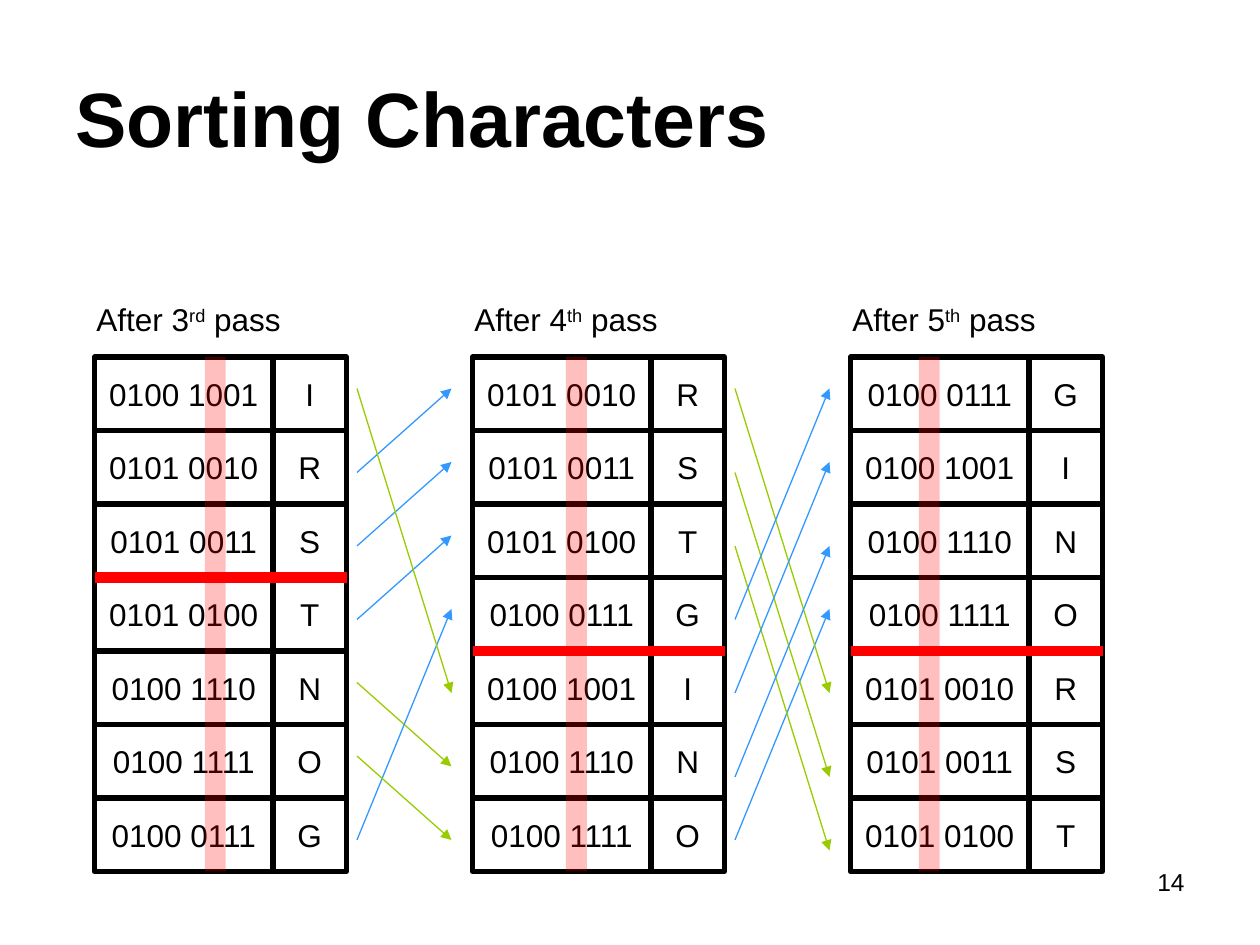
import dataclasses
import typing

import pptx
import pptx.dml.color
import pptx.enum.shapes
import pptx.enum.text
import pptx.oxml.ns
import pptx.util
from lxml import etree

RGB = pptx.dml.color.RGBColor
ALIGN = pptx.enum.text.PP_ALIGN
ANCHOR = pptx.enum.text.MSO_ANCHOR
RECT = pptx.enum.shapes.MSO_SHAPE.RECTANGLE
LINE = pptx.enum.shapes.MSO_CONNECTOR.STRAIGHT

BLACK = RGB(0, 0, 0)
WHITE = RGB(255, 255, 255)
RED = RGB(255, 0, 0)
BLUE = RGB(0x33, 0x99, 0xFF)
GREEN = RGB(0x99, 0xCC, 0)

COLS, ROWS = 120, 90
TOP, STEP = 34, 7
CODE, WIDE = 17, 24


@dataclasses.dataclass(frozen=True)
class Stage:
    left: float
    label: str
    order: str
    band: float
    split: int
    moves: tuple[tuple[int, int], ...] = ()


STAGES = (
    Stage(9, "After 3^rd^ pass", "IRSTNOG", 10.5, 3,
          ((45, 37), (65, 73), (80, 58), (52, 44), (59, 51), (72, 80), (37, 66))),
    Stage(45, "After 4^th^ pass", "RSTGINO", 8.9, 4,
          ((80, 58), (37, 66), (45, 74), (52, 81), (59, 37), (66, 44), (74, 52))),
    Stage(81, "After 5^th^ pass", "GINORST", 6.5, 4),
)

deck = pptx.Presentation()
deck.slide_width = pptx.util.Inches(10)
deck.slide_height = pptx.util.Inches(7.5)
page = deck.slides.add_slide(deck.slide_layouts[6])


def grid(*spots: float) -> list[int]:
    sides = (deck.slide_width / COLS, deck.slide_height / ROWS)
    return [round(spot * sides[i % 2]) for i, spot in enumerate(spots)]


def add(node: typing.Any, tag: str, **attrs: str) -> None:
    etree.SubElement(node, pptx.oxml.ns.qn(tag), **attrs)


def write(shape: typing.Any, text: str, *, size: float = 18, bold: bool = False,
          align: typing.Any = ALIGN.LEFT, anchor: typing.Any = ANCHOR.TOP,
          wrap: bool = True) -> None:
    frame = shape.text_frame
    frame.word_wrap = wrap
    frame.vertical_anchor = anchor
    para = frame.paragraphs[0]
    para.alignment = align
    for i, part in enumerate(text.split("^")):
        run = para.add_run()
        run.text = part
        run.font.name = "Arial"
        run.font.size = pptx.util.Pt(size)
        run.font.bold = bold
        run.font.color.rgb = BLACK
        if i % 2:
            run.font._element.set("baseline", "30000")


def block(spot: tuple[float, ...], fill: RGB) -> typing.Any:
    shape = page.shapes.add_shape(RECT, *grid(*spot))
    shape.shadow.inherit = False
    shape.fill.solid()
    shape.fill.fore_color.rgb = fill
    shape.line.fill.background()
    return shape


def cell(left: float, top: float, width: float, text: str) -> None:
    shape = block((left, top, width, STEP), WHITE)
    shape.line.color.rgb = BLACK
    shape.line.width = pptx.util.Pt(3)
    write(shape, text, align=ALIGN.CENTER, anchor=ANCHOR.MIDDLE, wrap=False)


def stroke(ends: tuple[float, ...], tint: RGB, width: float, head: bool = False) -> None:
    line = page.shapes.add_connector(LINE, *grid(*ends))
    line.line.color.rgb = tint
    line.line.width = pptx.util.Pt(width)
    if head:
        add(line.line._get_or_add_ln(), "a:tailEnd", type="triangle")
    add(line._element.spPr, "a:effectLst")


def draw(stage: Stage) -> None:
    for i, char in enumerate(stage.order):
        bits = f"{ord(char):08b}"
        top = TOP + i * STEP
        cell(stage.left + CODE, top, WIDE - CODE, char)
        cell(stage.left, top, CODE, f"{bits[:4]} {bits[4:]}")
    label = page.shapes.add_textbox(*grid(stage.left - 1, 28, 26, 4.8))
    write(label, stage.label)
    tall = len(stage.order) * STEP
    band = block((stage.left + stage.band, TOP, 2, tall), RED)
    tint = band.fill._xPr.find(".//" + pptx.oxml.ns.qn("a:srgbClr"))
    add(tint, "a:alpha", val="25000")
    right = stage.left + WIDE
    cut = TOP + stage.split * STEP
    stroke((stage.left, cut, right, cut), RED, 6)
    for start, end in stage.moves:
        tint = BLUE if end < start else GREEN
        stroke((right + 1, start, right + 10, end), tint, 0.75, head=True)


def main() -> None:
    number = page.shapes.add_textbox(*grid(86, 82, 28, 6.2))
    write(number, "14", size=14, align=ALIGN.RIGHT)
    title = page.shapes.add_textbox(*grid(6, 3.6, 108, 15))
    write(title, "Sorting Characters", size=44, bold=True, anchor=ANCHOR.MIDDLE)
    for stage in STAGES:
        draw(stage)
    deck.save("out.pptx")


if __name__ == "__main__":
    main()
